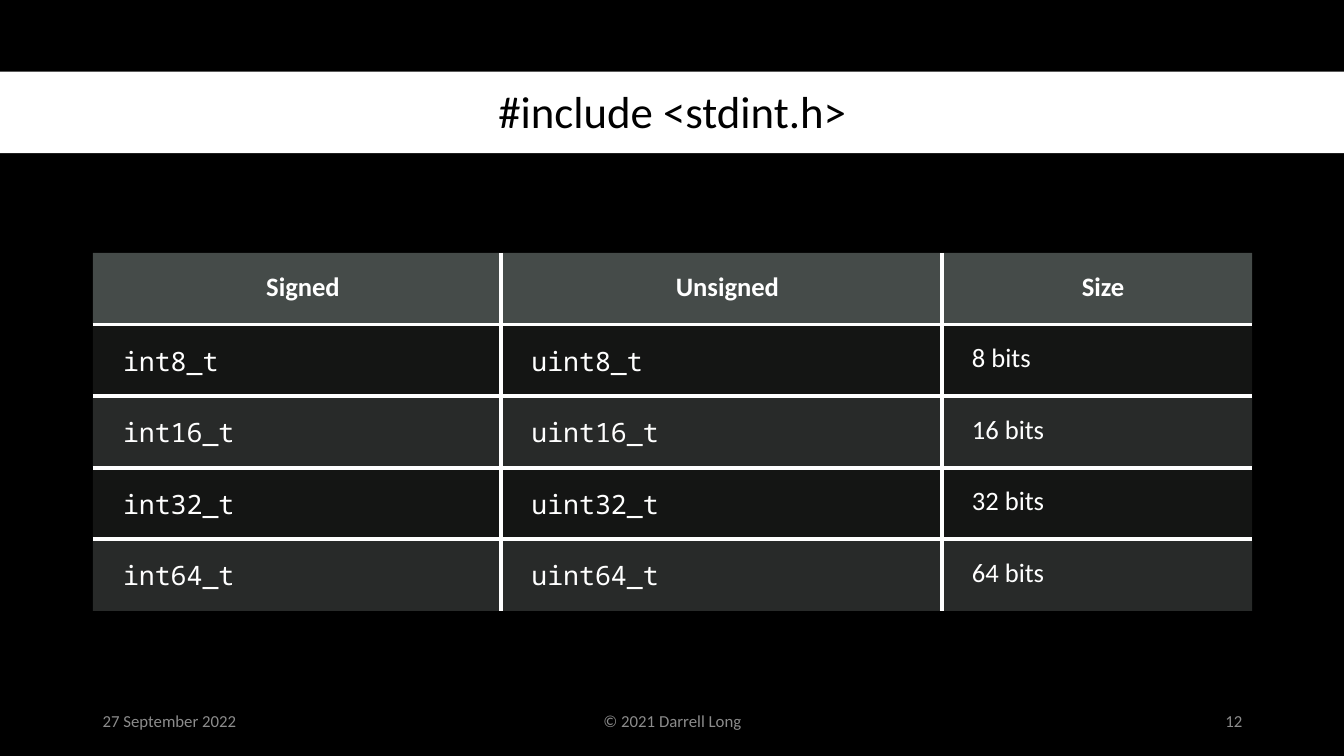
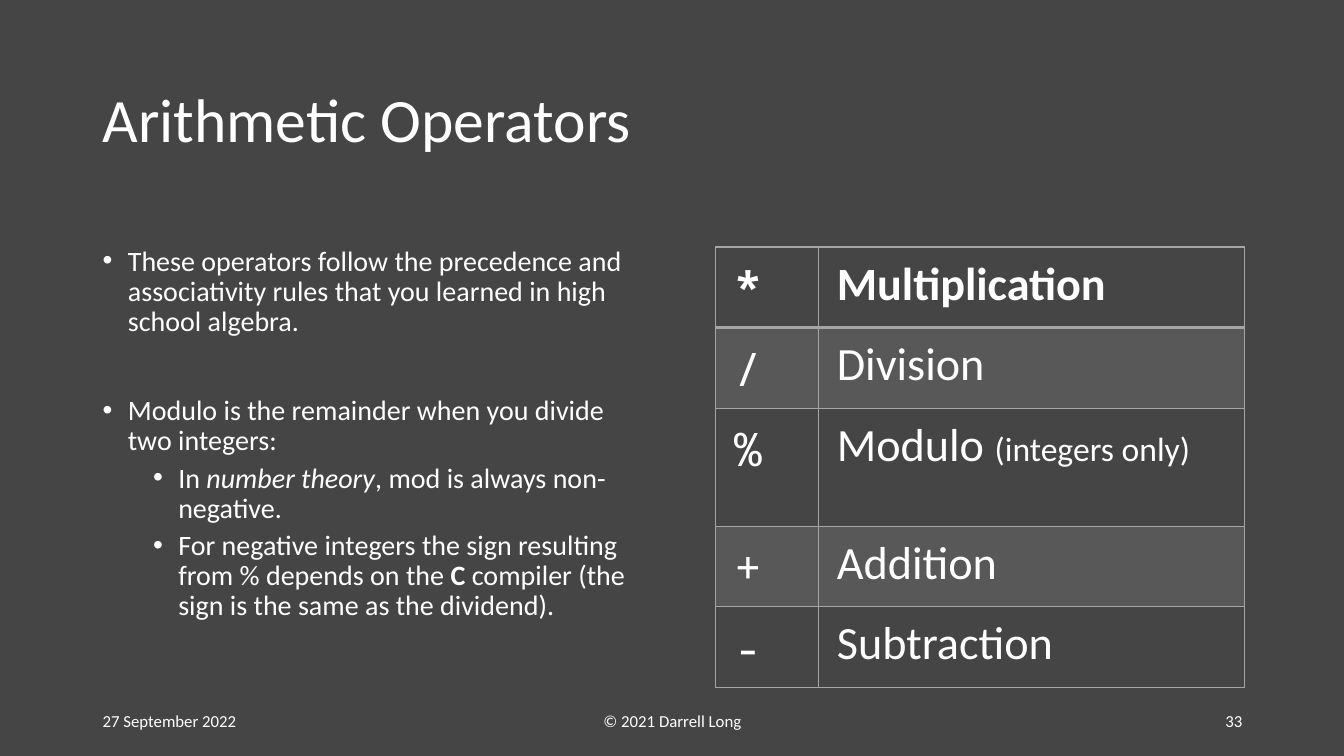
from lxml.etree import SubElement
from pptx import Presentation
from pptx.dml.color import RGBColor
from pptx.enum.shapes import MSO_SHAPE
from pptx.enum.text import MSO_ANCHOR, PP_ALIGN
from pptx.oxml import parse_xml
from pptx.oxml.ns import nsdecls, qn
from pptx.util import Inches, Pt

# Shared look
SANS, MONO = "Calibri", "Noto Sans Mono"
WHITE, BLACK, GREY = "FFFFFF", "000000", "8C8C8C"
LEFT, MID, RIGHT = PP_ALIGN.LEFT, PP_ALIGN.CENTER, PP_ALIGN.RIGHT
EDGE, WIDE = 0.92, 11.5
DATE, RIGHTS = "27 September 2022", "© 2021 Darrell Long"

# Content of the type table
TYPE_HEAD = ("Signed", "Unsigned", "Size")
BITS = (8, 16, 32, 64)
TYPE_ROWS = [TYPE_HEAD] + [(f"int{n}_t", f"uint{n}_t", f"{n} bits") for n in BITS]
TYPE_COLS = (4.05, 4.37, 3.08)

# Content of the operator slide
OPS = [
    ("*", ["Multiplication"]),
    ("/", ["Division"]),
    ("%", ["Modulo ", ("(integers only)", {"size": Pt(24)})]),
    ("+", ["Addition"]),
    ("-", ["Subtraction"]),
]
OP_COLS = (1.02, 4.22)
OP_HIGH = (0.8, 0.8, 1.17, 0.8, 0.8)
# Each point: indent, space before, runs
POINTS = [
    (0.25, 0, ["These operators follow the precedence and associativity "
               "rules that you learned in high school algebra."]),
    (0.25, 42, ["Modulo is the remainder when you divide two integers:"]),
    (0.75, 5, ["In ", ("number theory", {"italic": True}),
               ", mod is always non-negative."]),
    (0.75, 5, ["For negative integers the sign resulting from % depends on the ",
               ("C", {"bold": True}),
               " compiler (the sign is the same as the dividend)."]),
]


def rgb(code):
    return RGBColor.from_string(code)


def write(para, runs, size, color=WHITE, face=SANS, bold=False, align=LEFT):
    """Fill a paragraph with runs: plain strings or (text, font changes)."""
    para.alignment = align
    for item in runs:
        text, more = (item, {}) if isinstance(item, str) else item
        run = para.add_run()
        run.text = text
        font = run.font
        font.name, font.size, font.bold = face, Pt(size), bold
        font.color.rgb = rgb(color)
        for key, value in more.items():
            setattr(font, key, value)


def add_box(slide, place, anchor=MSO_ANCHOR.MIDDLE):
    frame = slide.shapes.add_textbox(*map(Inches, place)).text_frame
    frame.word_wrap = True
    frame.vertical_anchor = anchor
    return frame


def add_title(slide, text, top, high, size, color, align):
    para = add_box(slide, (EDGE, top, WIDE, high)).paragraphs[0]
    para.line_spacing = 0.9
    write(para, [text], size, color, align=align)


def add_footer(slide, number, color):
    parts = ((EDGE, 3, DATE, LEFT), (4.42, 4.5, RIGHTS, MID),
             (9.42, 3, str(number), RIGHT))
    for left, width, text, align in parts:
        para = add_box(slide, (left, 6.95, width, 0.4)).paragraphs[0]
        write(para, [text], 12, color, align=align)


def start(deck, back):
    slide = deck.slides.add_slide(deck.slide_layouts[6])
    slide.background.fill.solid()
    slide.background.fill.fore_color.rgb = rgb(back)
    return slide


def paint(cell, tint):
    """Fill a cell with (colour, opacity in percent), or clear it."""
    if tint is None:
        cell.fill.background()
        return
    color, alpha = tint
    cell.fill.solid()
    cell.fill.fore_color.rgb = rgb(color)
    mark = next(cell._tc.tcPr.iter(qn("a:srgbClr")))
    SubElement(mark, qn("a:alpha")).set("val", str(alpha * 1000))


def rule(cell, color, widths):
    """Draw borders; widths are left, right, top, bottom in points."""
    for spot, (side, width) in enumerate(zip("LRTB", widths)):
        ink = (f'<a:solidFill><a:srgbClr val="{color}"/></a:solidFill>'
               if width else "<a:noFill/>")
        cell._tc.tcPr.insert(spot, parse_xml(
            f'<a:ln{side} {nsdecls("a")} w="{Pt(width)}">{ink}</a:ln{side}>'))


def add_grid(slide, left, top, cols, rows, pads):
    """Add a plain table and yield row, column and cell."""
    table = slide.shapes.add_table(
        len(rows), len(cols), Inches(left), Inches(top),
        Inches(sum(cols)), Inches(sum(rows))).table
    table.first_row = table.horz_banding = False
    for col, width in zip(table.columns, cols):
        col.width = Inches(width)
    for row, high in zip(table.rows, rows):
        row.height = Inches(high)
    for r in range(len(rows)):
        for c in range(len(cols)):
            cell = table.cell(r, c)
            (cell.margin_left, cell.margin_top,
             cell.margin_right, cell.margin_bottom) = map(Inches, pads)
            yield r, c, cell


def type_slide(deck):
    slide = start(deck, BLACK)
    # Title band
    band = slide.shapes.add_shape(
        MSO_SHAPE.RECTANGLE, 0, Inches(0.71), deck.slide_width, Inches(0.81))
    band.shadow.inherit = False
    band.fill.solid()
    band.fill.fore_color.rgb = rgb(WHITE)
    band.line.fill.background()
    add_title(slide, "#include <stdint.h>", 0.74, 0.78, 32, BLACK, MID)
    add_footer(slide, 12, GREY)

    # Type table with inner rules only
    end_row, end_col = len(TYPE_ROWS) - 1, len(TYPE_COLS) - 1
    pads = (0.3, 0.18, 0.18, 0.18)
    high = [0.71] * len(TYPE_ROWS)
    for r, c, cell in add_grid(slide, EDGE, 2.51, TYPE_COLS, high, pads):
        head = r == 0
        face = SANS if head or c == end_col else MONO
        write(cell.text_frame.paragraphs[0], [TYPE_ROWS[r][c]], 19,
              face=face, bold=head, align=MID if head else LEFT)
        paint(cell, ("636B68", 70) if head else ("878E8B", 15 if r % 2 else 30))
        inner = (c > 0, c < end_col, r > 0, r < end_row)
        rule(cell, WHITE, [3 * side for side in inner])


def operator_slide(deck):
    slide = start(deck, "454545")
    add_title(slide, "Arithmetic Operators", 0.49, 1.45, 44, WHITE, LEFT)

    # Operator table
    line = "A5A5A5"
    pads = (0.18, 0.09, 0.18, 0.09)
    for r, c, cell in add_grid(slide, 7.1, 2.45, OP_COLS, OP_HIGH, pads):
        sign, name = OPS[r]
        write(cell.text_frame.paragraphs[0], name if c else [sign], 33,
              face=SANS if c else MONO, bold=r == 0)
        paint(cell, (line, 20) if r % 2 else None)
        rule(cell, line, (1, 1, 2 if r == 1 else 1, 2 if r == 0 else 1))

    # Bullet points
    frame = add_box(slide, (EDGE, 2.4, 5.4, 4.36), MSO_ANCHOR.TOP)
    for i, (indent, before, runs) in enumerate(POINTS):
        para = frame.add_paragraph() if i else frame.paragraphs[0]
        props = para._p.get_or_add_pPr()
        props.set("marL", str(Inches(indent)))
        props.set("indent", str(-Inches(0.25)))
        SubElement(props, qn("a:buFont")).set("typeface", "Arial")
        SubElement(props, qn("a:buChar")).set("char", "•")
        para.level = int(indent > 0.25)
        para.line_spacing = 0.9
        para.space_before = Pt(before)
        write(para, runs, 20)
    add_footer(slide, 33, WHITE)


def main():
    deck = Presentation()
    deck.slide_width, deck.slide_height = Inches(13.33), Inches(7.5)
    type_slide(deck)
    operator_slide(deck)
    deck.save("out.pptx")


if __name__ == "__main__":
    main()
